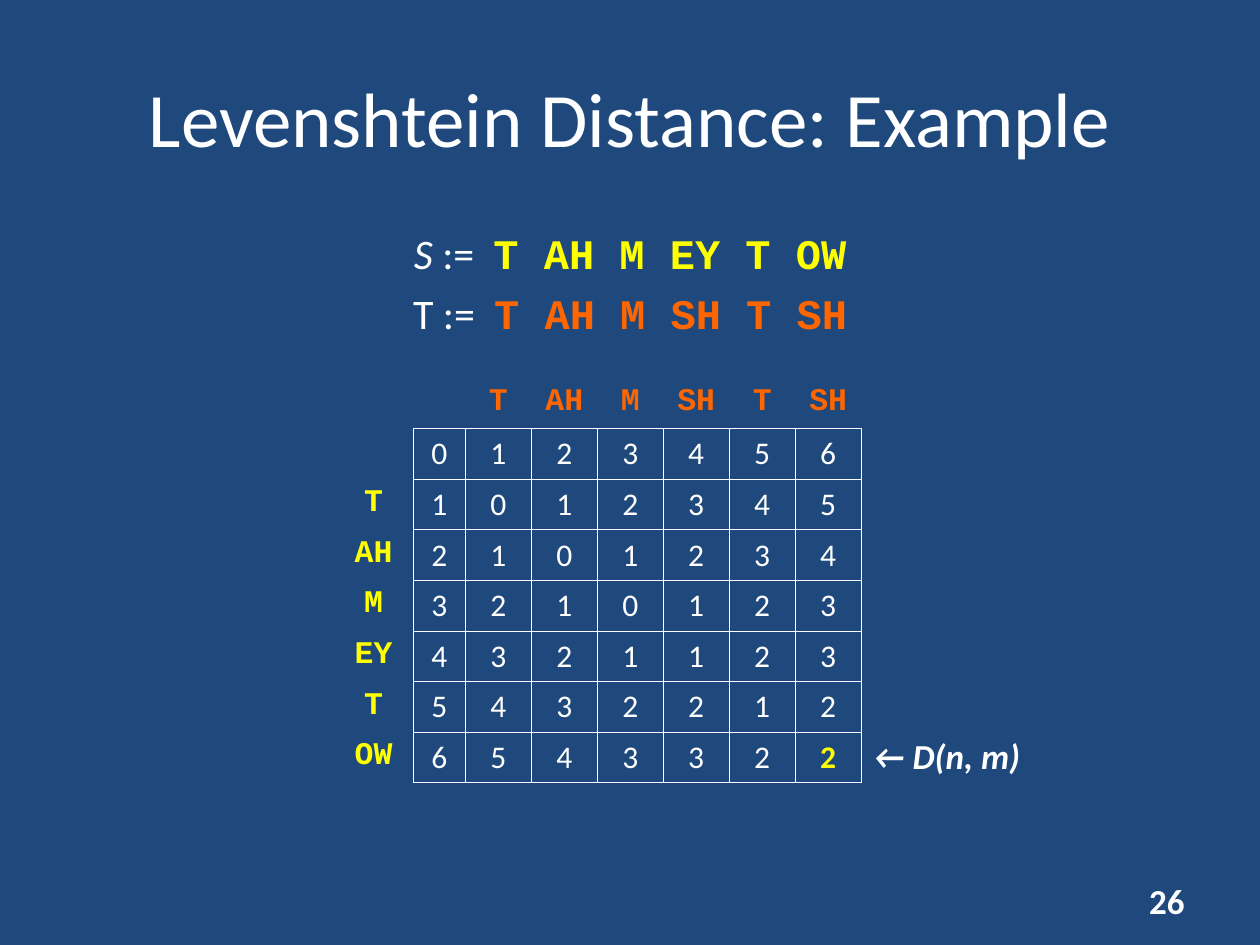
import pptx
import pptx.dml.color
import pptx.enum.text
import pptx.util
from dataclasses import dataclass
from lxml import etree
from pptx.oxml.ns import qn

Cm = pptx.util.Cm
Pt = pptx.util.Pt
ALIGN = pptx.enum.text.PP_ALIGN
ANCHOR = pptx.enum.text.MSO_ANCHOR
NO_TABLE_STYLE = "{2D5ABB26-0587-4C30-8999-92F81FD0307C}"


def color(hex_code):
    return pptx.dml.color.RGBColor.from_string(hex_code)


def edit_distances(source, target):
    """Levenshtein matrix with one row per source prefix."""
    rows = [list(range(len(target) + 1))]
    for i, phone in enumerate(source, 1):
        row = [i]
        for j, other in enumerate(target, 1):
            row.append(min(rows[-1][j] + 1, row[-1] + 1,
                           rows[-1][j - 1] + (phone != other)))
        rows.append(row)
    return rows


@dataclass
class Deck:
    slide: object
    background: str = "1F497D"
    ink: str = "FFFFFF"
    source_ink: str = "FFFF00"
    target_ink: str = "FF6600"
    sans: str = "Calibri"
    mono: str = "Courier New"
    grid_width: float = 0.45

    def paint_background(self):
        fill = self.slide.background.fill
        fill.solid()
        fill.fore_color.rgb = color(self.background)

    def style(self, run, size, ink=None, font=None, bold=False, italic=False):
        run.font.size = Pt(size)
        run.font.name = font or self.sans
        run.font.color.rgb = color(ink or self.ink)
        run.font.bold = bold
        run.font.italic = italic

    def place(self, shape, box):
        shape.left, shape.top, shape.width, shape.height = map(Cm, box)

    def title(self, text, box):
        heading = self.slide.shapes.title
        self.place(heading, box)
        heading.text_frame.text = text
        heading.text_frame.vertical_anchor = ANCHOR.MIDDLE
        paragraph = heading.text_frame.paragraphs[0]
        paragraph.alignment = ALIGN.CENTER
        self.style(paragraph.runs[0], 44)

    def definitions(self, lines, box):
        """Fill the body with lines of (text, format) pieces."""
        body = self.slide.placeholders[1]
        self.place(body, box)
        frame = body.text_frame
        for index, pieces in enumerate(lines):
            paragraph = frame.add_paragraph() if index else frame.paragraphs[0]
            paragraph.alignment = ALIGN.CENTER
            paragraph.space_before = Pt(6)
            properties = paragraph._p.get_or_add_pPr()
            properties.set("marL", "0")
            properties.set("indent", "0")
            etree.SubElement(properties, qn("a:buNone"))
            for text, look in pieces:
                run = paragraph.add_run()
                run.text = text
                self.style(run, 24, **look)

    def label(self, text, box, align=ALIGN.LEFT, anchor=ANCHOR.TOP, **look):
        frame = self.slide.shapes.add_textbox(*map(Cm, box)).text_frame
        frame.word_wrap = True
        frame.vertical_anchor = anchor
        frame.text = text
        frame.paragraphs[0].alignment = align
        self.style(frame.paragraphs[0].runs[0], 20, bold=True, **look)

    def border(self, cell, sides):
        properties = cell._tc.get_or_add_tcPr()
        for side in sides:
            line = etree.SubElement(properties, qn(f"a:ln{side}"),
                                    w=str(Pt(self.grid_width)))
            fill = etree.SubElement(line, qn("a:solidFill"))
            etree.SubElement(fill, qn("a:srgbClr"), val=self.ink)

    def distance_table(self, source, target, corner, widths, row_height):
        distances = edit_distances(source, target)
        contents = [["", ""] + target]
        contents += [[phone] + row for phone, row in zip([""] + source, distances)]
        last = (len(contents) - 1, len(widths) - 1)

        frame = self.slide.shapes.add_table(
            len(contents), len(widths), *map(Cm, corner),
            Cm(sum(widths)), Cm(row_height * len(contents)))
        table = frame.table
        table.first_row = table.horz_banding = False
        table._tbl.tblPr.find(qn("a:tableStyleId")).text = NO_TABLE_STYLE
        for column, width in zip(table.columns, widths):
            column.width = Cm(width)

        for r, row in enumerate(contents):
            table.rows[r].height = Cm(row_height)
            for c, value in enumerate(row):
                cell = table.cell(r, c)
                # Only the numbers are boxed; the labels share their edge
                if r and c:
                    self.border(cell, "LRTB")
                elif c:
                    self.border(cell, "B")
                elif r:
                    self.border(cell, "R")
                cell.fill.background()

                if r == 0:
                    look = dict(ink=self.target_ink, font=self.mono, bold=True)
                elif c == 0:
                    look = dict(ink=self.source_ink, font=self.mono, bold=True)
                elif (r, c) == last:
                    look = dict(ink=self.source_ink, bold=True)
                else:
                    look = {}
                paragraph = cell.text_frame.paragraphs[0]
                paragraph.text = str(value)
                paragraph.alignment = ALIGN.CENTER
                paragraph.font.size = Pt(18)
                for run in paragraph.runs:
                    self.style(run, 18, **look)


def main():
    presentation = pptx.Presentation()
    presentation.slide_width, presentation.slide_height = Cm(25.4), Cm(19.05)
    deck = Deck(presentation.slides.add_slide(presentation.slide_layouts[1]))
    deck.paint_background()

    source = "T AH M EY T OW".split()
    target = "T AH M SH T SH".split()

    # Title and the two phone strings
    deck.title("Levenshtein Distance: Example", (1.27, 0.76, 22.86, 3.18))
    phones = dict(font=deck.mono, bold=True)
    deck.definitions([
        [("S", dict(italic=True)), (" :=  ", {}),
         (" ".join(source), dict(ink=deck.source_ink, **phones))],
        [("T :=  ", {}),
         (" ".join(target), dict(ink=deck.target_ink, **phones))],
    ], (1.27, 4.45, 22.86, 12.57))

    # Slide number
    deck.label("26", (18.21, 17.65, 5.92, 1.02), ALIGN.RIGHT, ANCHOR.MIDDLE)

    # Distance matrix and the pointer to its result
    deck.distance_table(source, target, (6.73, 7.62),
                        [1.6, 1.05] + [1.33] * len(target), 1.02)
    deck.label("← D(n, m)", (17.35, 14.68, 3.81, 1.12), italic=True)

    presentation.save("out.pptx")


if __name__ == "__main__":
    main()
